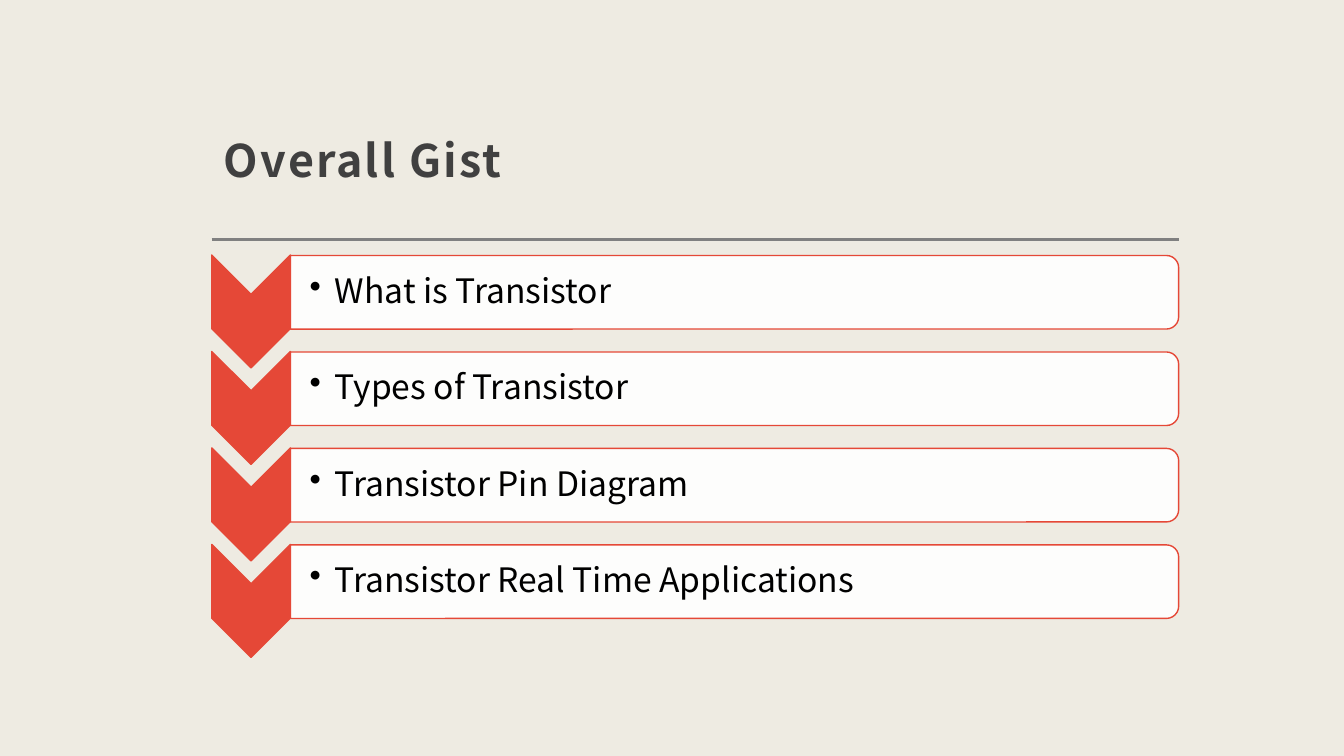
from lxml.etree import SubElement
from pptx import Presentation
from pptx.dml.color import RGBColor
from pptx.enum.shapes import MSO_CONNECTOR, MSO_SHAPE
from pptx.enum.text import MSO_ANCHOR
from pptx.oxml.ns import qn
from pptx.util import Inches, Pt

COLORS = {"paper": "EEEBE2", "rule": "808080", "title": "404040",
          "accent": "E54837", "bar": "FFFFFF", "topic": "000000"}
FONT = "Noto Sans CJK JP"
LEFT, WIDTH = 2.1, 9.59
FIRST_ROW, ROW_PITCH = 2.9, 0.957
MARKER_WIDTH, MARKER_LENGTH, MARKER_DROP = 0.78, 1.12, 0.19
BAR_LEFT, BAR_WIDTH, BAR_HEIGHT = 2.88, 8.81, 0.73
TOPIC_WIDTH, TOPIC_HEIGHT = 8.77, 0.66

deck = Presentation()
deck.slide_width, deck.slide_height = Inches(13.33), Inches(7.5)
slide = deck.slides.add_slide(deck.slide_layouts[6])
slide.background.fill.solid()
slide.background.fill.fore_color.rgb = RGBColor.from_string(COLORS["paper"])


def add_text(wording, box, insets, anchor, size, color, spacing):
    frame = slide.shapes.add_textbox(*map(Inches, box)).text_frame
    frame.word_wrap = True
    frame.vertical_anchor = anchor
    (frame.margin_left, frame.margin_top,
     frame.margin_right, frame.margin_bottom) = map(Inches, insets)
    paragraph = frame.paragraphs[0]
    paragraph.line_spacing = spacing
    run = paragraph.add_run()
    run.text = wording
    run.font.size = Pt(size)
    run.font.name = FONT
    run.font.color.rgb = RGBColor.from_string(color)
    properties = run.font._element
    SubElement(properties, qn("a:ea")).set("typeface", FONT)
    return paragraph, run


def add_turned(kind, center_x, center_y, length, thickness, fill):
    shape = slide.shapes.add_shape(
        kind, Inches(center_x - length / 2), Inches(center_y - thickness / 2),
        Inches(length), Inches(thickness))
    shape.rotation = 90
    shape.shadow.inherit = False
    shape.fill.solid()
    shape.fill.fore_color.rgb = RGBColor.from_string(fill)
    shape.line.color.rgb = RGBColor.from_string(COLORS["accent"])
    shape.line.width = Pt(1)
    return shape


rule = slide.shapes.add_connector(
    MSO_CONNECTOR.STRAIGHT, Inches(LEFT), Inches(2.38), Inches(LEFT + WIDTH), Inches(2.38))
rule.line.color.rgb = RGBColor.from_string(COLORS["rule"])
rule.line.width = Pt(2)
SubElement(rule._element.spPr, qn("a:effectLst"))

heading, heading_run = add_text(
    "Overall Gist", (LEFT, 0.48, WIDTH, 1.47), (0.12, 0.12, 0.12, 0.1),
    MSO_ANCHOR.BOTTOM, 32, COLORS["title"], 1.3)
heading_run.font.bold = True
heading_run.font._element.set("spc", "150")

topics = ["What is Transistor", "Types of Transistor",
          "Transistor Pin Diagram", "Transistor Real Time Applications"]
for row, topic in enumerate(topics):
    middle = FIRST_ROW + row * ROW_PITCH
    add_turned(MSO_SHAPE.CHEVRON, LEFT + MARKER_WIDTH / 2, middle + MARKER_DROP,
               MARKER_LENGTH, MARKER_WIDTH, COLORS["accent"])
    bar = add_turned(MSO_SHAPE.ROUND_2_SAME_RECTANGLE, BAR_LEFT + BAR_WIDTH / 2, middle,
                     BAR_HEIGHT, BAR_WIDTH, COLORS["bar"])
    bar_color = bar._element.spPr.find(qn("a:solidFill"))[0]
    SubElement(bar_color, qn("a:alpha")).set("val", "90000")

    bullet_line, topic_run = add_text(
        topic, (BAR_LEFT, middle - TOPIC_HEIGHT / 2, TOPIC_WIDTH, TOPIC_HEIGHT),
        (0.19, 0.02, 0.02, 0.02), MSO_ANCHOR.MIDDLE, 24, COLORS["topic"], 0.9)
    bullet_format = bullet_line._p.get_or_add_pPr()
    bullet_format.set("marL", str(Inches(0.25)))
    bullet_format.set("indent", str(-Inches(0.25)))
    SubElement(bullet_format, qn("a:buChar")).set("char", "•")

deck.save("out.pptx")
